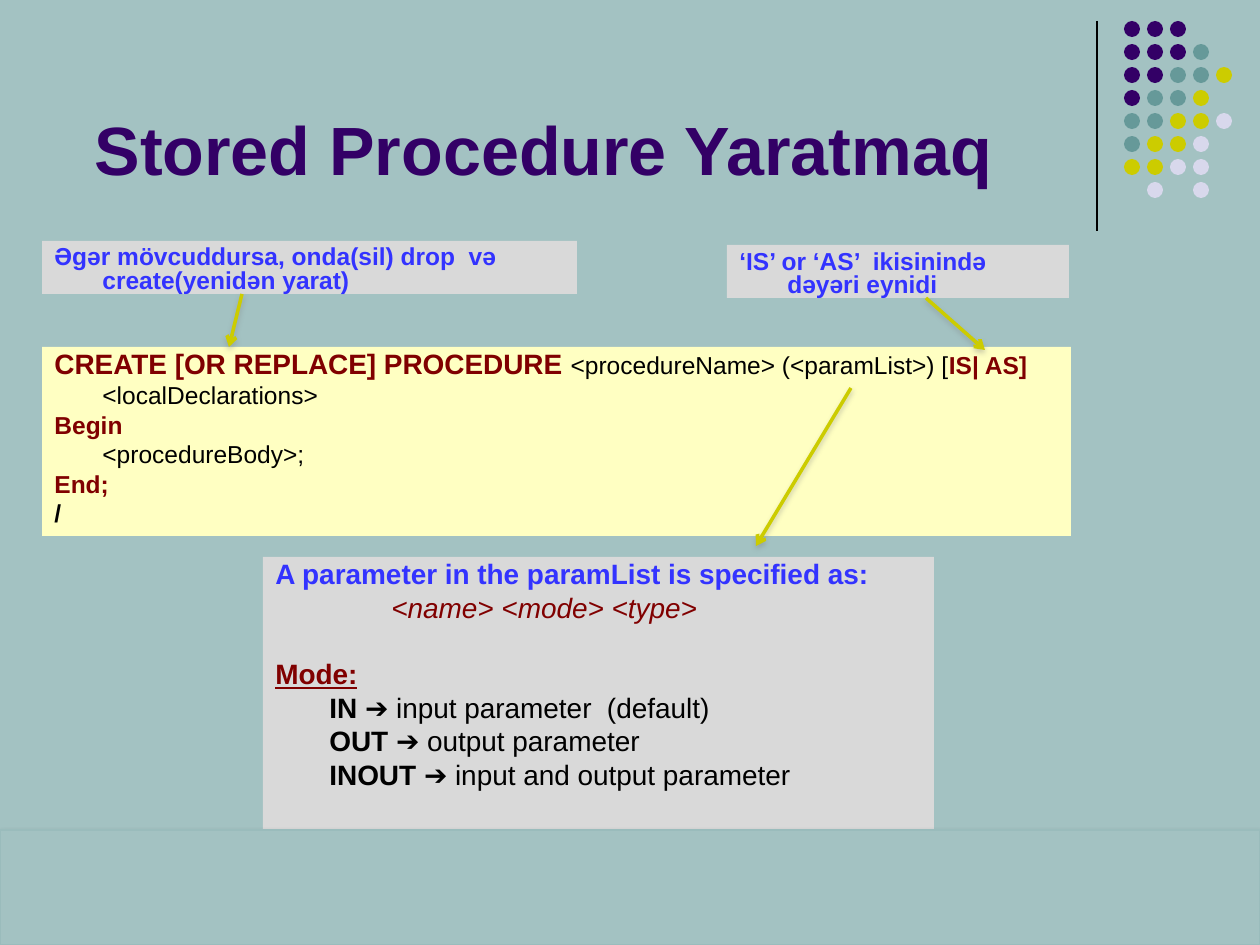
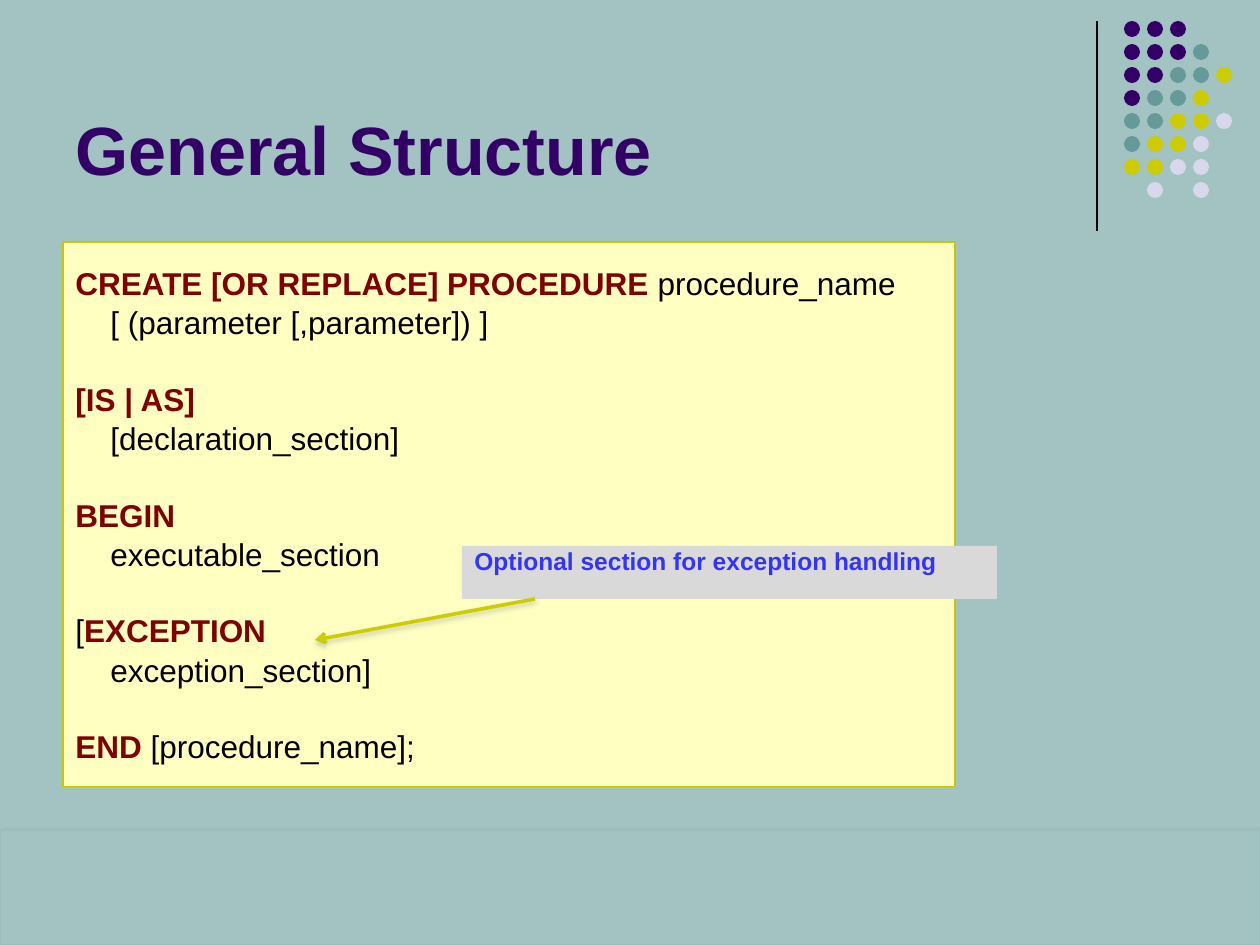
from lxml import etree
from pptx import Presentation, util as u
from pptx.dml.color import RGBColor
from pptx.enum import shapes, text
from pptx.oxml.ns import qn

PIXEL = 914400 // 126
FONT = "Arial"
PURPLE, TEAL, YELLOW, LILAC = "330066", "669999", "CCCC00", "D8D8EC"
BACKGROUND, CREAM, GREY = "A3C2C2", "FFFFC2", "D9D9D9"
HANG = 48           # hanging indent of unindented lines
TITLE_BOX = (63, 16, 1040, 179)
BAND_BOX = (0, 830, 1260, 115)

# Run styles: colour, bold, italic, underline
STYLES = {
    "keyword": ("800000", True, False, False),
    "plain": ("000000", False, False, False),
    "strong": ("000000", True, False, False),
    "note": ("3333FF", True, False, False),
    "syntax": ("800000", False, True, False),
    "heading": ("800000", True, False, True),
}

# Dot ornament, one letter per dot
DOT_COLOURS = {"P": PURPLE, "T": TEAL, "Y": YELLOW, "L": LILAC}
DOT_ROWS = ["PPP", "PPPT", "PPTTY", "PTTY", "TTYYL", "TYYL", "YYLL", " L L"]
DOT_LEFT, DOT_TOP, DOT_PITCH, DOT_SIZE = 1124, 21, 23, 16

# Paragraph: indent, gap before in lines, runs of (text, style[, size])
SYNTAX = [
    (0, 0, [("CREATE [OR REPLACE] PROCEDURE ", "keyword", 16),
            ("<procedureName> (<paramList>) [", "plain"), ("IS| AS]", "keyword")]),
    (HANG, 0, [("<localDeclarations>", "plain")]),
    (0, 0, [("Begin", "keyword")]),
    (HANG, 0, [("<procedureBody>;", "plain")]),
    (0, 0, [("End;", "keyword")]),
    (0, 0, [("/", "strong")]),
]
PARAMETERS = [
    (0, 0, [("A parameter in the paramList is specified as:", "note")]),
    (116, 0, [("<name> <mode> <type>", "syntax")]),
    (0, 1, [("Mode:", "heading")]),
    (54, 0, [("IN ", "strong"), ("➔ input parameter  (default)", "plain")]),
    (54, 0, [("OUT", "strong"), (" ➔ output parameter", "plain")]),
    (54, 0, [("INOUT ", "strong"), ("➔ input and output parameter", "plain")]),
]
STRUCTURE = [
    (0, 0, [("CREATE [OR REPLACE] PROCEDURE ", "keyword"), ("procedure_name", "plain")]),
    (35, 0, [("[ (parameter [,parameter]) ]", "plain")]),
    (0, 1, [("[IS | AS]", "keyword")]),
    (35, 0, [("[declaration_section]", "plain")]),
    (0, 1, [("BEGIN", "keyword")]),
    (35, 0, [("executable_section", "plain")]),
    (0, 1, [("[", "plain"), ("EXCEPTION", "keyword")]),
    (35, 0, [("exception_section]", "plain")]),
    (0, 1, [("END ", "keyword"), ("[procedure_name];", "plain")]),
]


def note(words):
    return [(0, 0, [(words, "note")])]


# Boxes: place, fill, outline, text size, roomy spacing, paragraphs
SLIDES = [
    {"title": "Stored Procedure Yaratmaq", "title_indent": 19,
     "boxes": [
         ((42, 347, 1029, 189), CREAM, None, 14, False, SYNTAX),
         ((263, 557, 671, 283), GREY, None, 16, False, PARAMETERS),
         ((42, 241, 535, 53), GREY, None, 14, False,
          note("Əgər mövcuddursa, onda(sil) drop  və create(yenidən yarat)")),
         ((727, 245, 342, 53), GREY, None, 14, False,
          note("‘IS’ or ‘AS’  ikisinində dəyəri eynidi")),
     ],
     "arrows": [(851, 388, 756, 546), (242, 294, 229, 347), (926, 298, 985, 350)]},
    {"title": "General Structure", "title_indent": 0,
     "boxes": [
         ((63, 242, 892, 545), CREAM, "C8C800", 18, True, STRUCTURE),
         ((462, 546, 535, 53), GREY, None, 14, False,
          note("Optional section for exception handling")),
     ],
     "arrows": [(535, 599, 315, 640)]},
]


def colour(value):
    return RGBColor.from_string(value)


def px(values):
    return [value * PIXEL for value in values]


def set_shadow(properties, value=None, alpha=0, distance=0):
    """Clear the effects of a shape, or give it a soft shadow below."""
    effects = properties.find(qn("a:effectLst"))
    if effects is None:
        effects = etree.SubElement(properties, qn("a:effectLst"))
    if value:
        shadow = etree.SubElement(effects, qn("a:outerShdw"), blurRad=str(u.Pt(3.1)),
                                  dist=str(u.Pt(distance)), dir="5400000", rotWithShape="0")
        tint = etree.SubElement(shadow, qn("a:srgbClr"), val=value)
        etree.SubElement(tint, qn("a:alpha"), val=str(alpha * 1000))


def add_shape(slide, kind, place, fill, outline=None):
    shape = slide.shapes.add_shape(kind, *px(place))
    shape.shadow.inherit = False
    shape.fill.solid()
    shape.fill.fore_color.rgb = colour(fill)
    if outline:
        shape.line.color.rgb = colour(outline)
        shape.line.width = u.Pt(0.75)
    else:
        shape.line.fill.background()
    return shape


def add_line(slide, ends, value, width):
    line = slide.shapes.add_connector(shapes.MSO_CONNECTOR.STRAIGHT, *px(ends))
    line.line.color.rgb = colour(value)
    line.line.width = u.Pt(width)
    set_shadow(line._element.spPr)
    return line


def add_arrow(slide, ends):
    line = add_line(slide, ends, YELLOW, 2)
    properties = line._element.spPr
    etree.SubElement(properties.find(qn("a:ln")), qn("a:tailEnd"), type="arrow")
    set_shadow(properties, "808080", 38, 1.6)


def set_indent(paragraph, left, first=0):
    properties = paragraph._p.get_or_add_pPr()
    properties.set("marL", str(left * PIXEL))
    properties.set("indent", str(first * PIXEL))


def add_run(paragraph, words, size, value, bold, italic=False, underline=False):
    run = paragraph.add_run()
    run.text = words
    font = run.font
    font.name, font.size, font.color.rgb = FONT, u.Pt(size), colour(value)
    font.bold, font.italic, font.underline = bold, italic, underline


def add_box(slide, place, fill, outline, size, roomy, paragraphs):
    shape = add_shape(slide, shapes.MSO_SHAPE.RECTANGLE, place, fill, outline)
    frame = shape.text_frame
    frame.word_wrap = True
    frame.vertical_anchor = text.MSO_ANCHOR.MIDDLE if roomy else text.MSO_ANCHOR.TOP
    spacing, before = (1.0, 0.05) if roomy else (0.8, 0.24)
    for number, (indent, gap, runs) in enumerate(paragraphs):
        paragraph = frame.add_paragraph() if number else frame.paragraphs[0]
        paragraph.alignment = text.PP_ALIGN.LEFT
        paragraph.line_spacing = spacing
        paragraph.space_before = u.Pt(round(size * (before + 1.18 * gap), 1))
        set_indent(paragraph, indent or HANG, 0 if indent else -HANG)
        for words, style, *own_size in runs:
            add_run(paragraph, words, *(own_size or [size]), *STYLES[style])


def add_ornament(slide):
    add_line(slide, (1097, 21, 1097, 231), "000000", 0.75)
    for row, letters in enumerate(DOT_ROWS):
        for column, letter in enumerate(letters):
            if letter in DOT_COLOURS:
                place = (DOT_LEFT + column * DOT_PITCH, DOT_TOP + row * DOT_PITCH,
                         DOT_SIZE, DOT_SIZE)
                add_shape(slide, shapes.MSO_SHAPE.OVAL, place, DOT_COLOURS[letter])


def set_title(slide, words, indent):
    title = slide.shapes.title
    title.left, title.top, title.width, title.height = px(TITLE_BOX)
    frame = title.text_frame
    frame.auto_size = text.MSO_AUTO_SIZE.NONE
    frame.vertical_anchor = text.MSO_ANCHOR.BOTTOM
    paragraph = frame.paragraphs[0]
    paragraph.alignment = text.PP_ALIGN.LEFT
    set_indent(paragraph, indent)
    add_run(paragraph, words, 39, PURPLE, True)


def add_band(slide):
    band = add_shape(slide, shapes.MSO_SHAPE.RECTANGLE, BAND_BOX, BACKGROUND, "9ABCBC")
    set_shadow(band._element.spPr, "000000", 35, 1.8)


presentation = Presentation()
presentation.slide_width, presentation.slide_height = px((1260, 945))
background = presentation.slide_master.background.fill
background.solid()
background.fore_color.rgb = colour(BACKGROUND)

for content in SLIDES:
    slide = presentation.slides.add_slide(presentation.slide_layouts[5])
    add_ornament(slide)
    set_title(slide, content["title"], content["title_indent"])
    for box in content["boxes"]:
        add_box(slide, *box)
    for ends in content["arrows"]:
        add_arrow(slide, ends)
    add_band(slide)

presentation.save("out.pptx")
